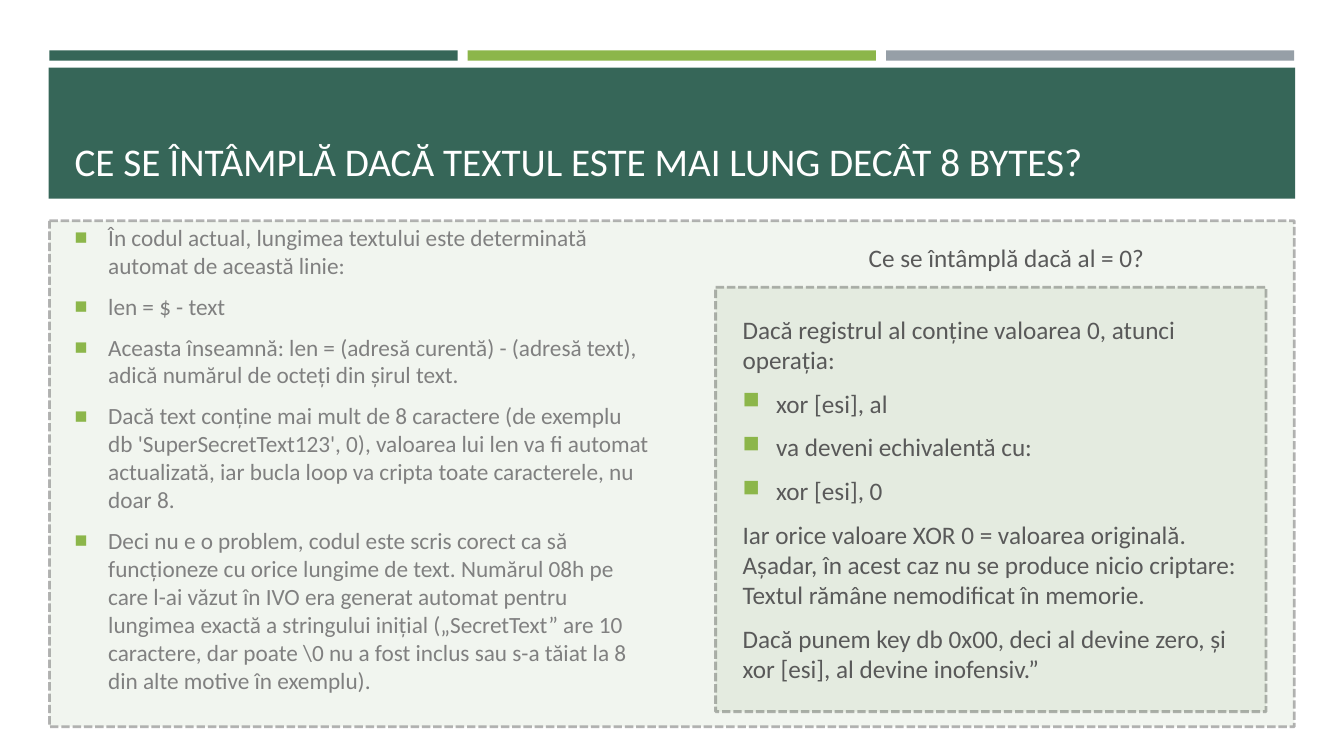
import pptx
import pptx.util
import pptx.dml.color
import pptx.enum.dml
import pptx.enum.shapes
import pptx.enum.text
import pptx.oxml
import pptx.oxml.ns

Pt = pptx.util.Pt
Anchor = pptx.enum.text.MSO_ANCHOR
Shape = pptx.enum.shapes.MSO_SHAPE
GREEN, LIME, GREY = "366658", "8CB64A", "969FA7"
NAMESPACE = pptx.oxml.ns.nsdecls("a")


def color(value):
    return pptx.dml.color.RGBColor.from_string(value)


def write_paragraphs(frame, entries, size, text_color):
    for number, (text, bulleted) in enumerate(entries):
        para = frame.paragraphs[0] if number == 0 else frame.add_paragraph()
        para.text = text
        para.alignment = pptx.enum.text.PP_ALIGN.LEFT
        para.space_before = Pt(size * 0.2 if number else 0)
        para.space_after = Pt(6)
        if bulleted:
            properties = para._p.get_or_add_pPr()
            properties.set("marL", str(Pt(24)))
            properties.set("indent", str(Pt(-24)))
            for markup in (
                f'<a:buClr {NAMESPACE}><a:srgbClr val="{LIME}"/></a:buClr>',
                f'<a:buSzPct {NAMESPACE} val="92000"/>',
                f'<a:buChar {NAMESPACE} char="■"/>',
            ):
                properties.append(pptx.oxml.parse_xml(markup))
        para.font.name = "Calibri"
        para.font.size = Pt(size)
        para.font.color.rgb = color(text_color)


deck = pptx.Presentation()
deck.slide_width, deck.slide_height = Pt(960), Pt(540)
page = deck.slides.add_slide(deck.slide_layouts[1])

bars = [(35.3 + 298.8 * column, 36, 291.6, 7.4, fill)
        for column, fill in enumerate((GREEN, LIME, GREY))]
bars.append((34.8, 48.4, 890.4, 93.6, GREEN))
for left, top, width, height, fill in bars:
    bar = page.shapes.add_shape(Shape.RECTANGLE, Pt(left), Pt(top), Pt(width), Pt(height))
    bar.shadow.inherit = False
    bar.fill.solid()
    bar.fill.fore_color.rgb = color(fill)
    bar.line.fill.background()

panels = [(511.2, 205.2, 393.1, 303.1), (35.3, 157.7, 889.2, 361.4)]
for left, top, width, height in panels:
    panel = page.shapes.add_shape(
        Shape.FLOWCHART_PROCESS, Pt(left), Pt(top), Pt(width), Pt(height))
    panel.shadow.inherit = False
    panel.fill.solid()
    panel.fill.fore_color.rgb = color("548235")
    panel.line.color.rgb = color("808080")
    panel.line.width = Pt(2)
    panel.line.dash_style = pptx.enum.dml.MSO_LINE.SQUARE_DOT
    for tint, opacity in zip(panel.element.spPr.iter(pptx.oxml.ns.qn("a:srgbClr")), (8, 59)):
        tint.append(pptx.oxml.parse_xml(f'<a:alpha {NAMESPACE} val="{opacity * 1000}"/>'))

title = page.shapes.title
body = page.placeholders[1]
answer = page.shapes.add_textbox(Pt(523.4), Pt(211.7), Pt(376.6), Pt(289.4))
question = page.shapes.add_textbox(Pt(599), Pt(169.9), Pt(239.8), Pt(28.8))
title.left, title.top, title.width, title.height = Pt(46.1), Pt(55.4), Pt(868.3), Pt(79.9)
body.left, body.top, body.width, body.height = Pt(46.1), Pt(155.7), Pt(425.5), Pt(352.6)

for box, anchor in ((title, Anchor.BOTTOM), (body, Anchor.TOP),
                    (answer, Anchor.MIDDLE), (question, Anchor.TOP)):
    box.element.getparent().append(box.element)
    box.text_frame.word_wrap = True
    box.text_frame.auto_size = pptx.enum.text.MSO_AUTO_SIZE.NONE
    box.text_frame.vertical_anchor = anchor

write_paragraphs(title.text_frame, [
    ("CE SE ÎNTÂMPLĂ DACĂ TEXTUL ESTE MAI LUNG DECÂT 8 BYTES?", False),
], 28, "FFFFFF")
title.text_frame.paragraphs[0].space_after = Pt(0)

write_paragraphs(body.text_frame, [
    ("În codul actual, lungimea textului este determinată automat de această linie:", True),
    ("len = $ - text", True),
    ("Aceasta înseamnă: len = (adresă curentă) - (adresă text), adică numărul de octeți "
     "din șirul text.", True),
    ("Dacă text conține mai mult de 8 caractere (de exemplu db 'SuperSecretText123', 0), "
     "valoarea lui len va fi automat actualizată, iar bucla loop va cripta toate "
     "caracterele, nu doar 8.", True),
    ("Deci nu e o problem, codul este scris corect ca să funcționeze cu orice lungime de "
     "text. Numărul 08h pe care l-ai văzut în IVO era generat automat pentru lungimea "
     "exactă a stringului inițial („SecretText” are 10 caractere, dar poate \\0 nu a fost "
     "inclus sau s-a tăiat la 8 din alte motive în exemplu).", True),
], 16.6, "808080")

write_paragraphs(answer.text_frame, [
    ("Dacă registrul al conține valoarea 0, atunci operația:", False),
    ("xor [esi], al", True),
    ("va deveni echivalentă cu:", True),
    ("xor [esi], 0", True),
    ("Iar orice valoare XOR 0 = valoarea originală. Așadar, în acest caz nu se produce "
     "nicio criptare: Textul rămâne nemodificat în memorie.", False),
    ("Dacă punem key db 0x00, deci al devine zero, și xor [esi], al devine inofensiv.”", False),
], 18, "595959")

write_paragraphs(question.text_frame, [("Ce se întâmplă dacă al = 0?", False)], 18, "595959")
question.text_frame.paragraphs[0].alignment = pptx.enum.text.PP_ALIGN.CENTER

deck.save("out.pptx")
